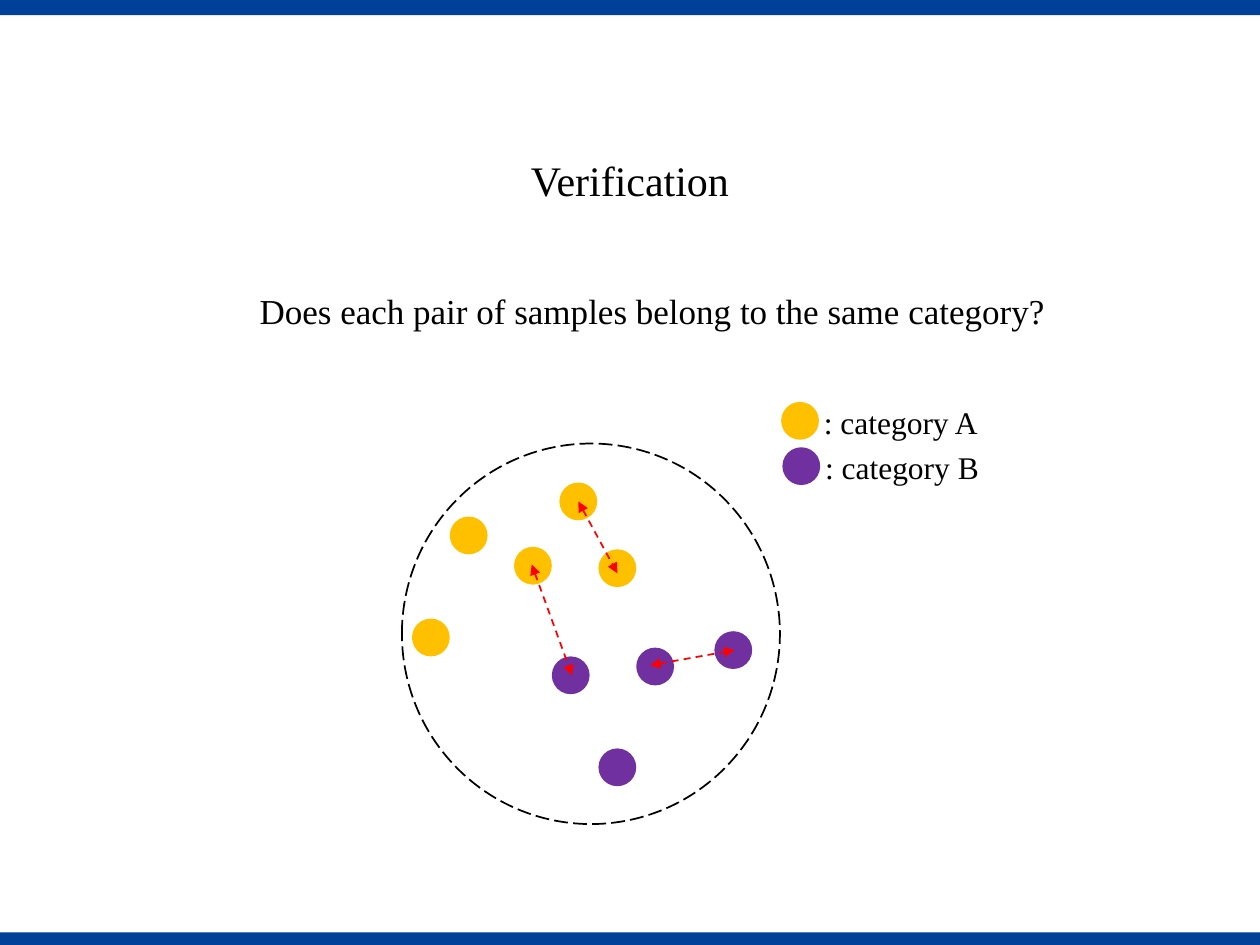
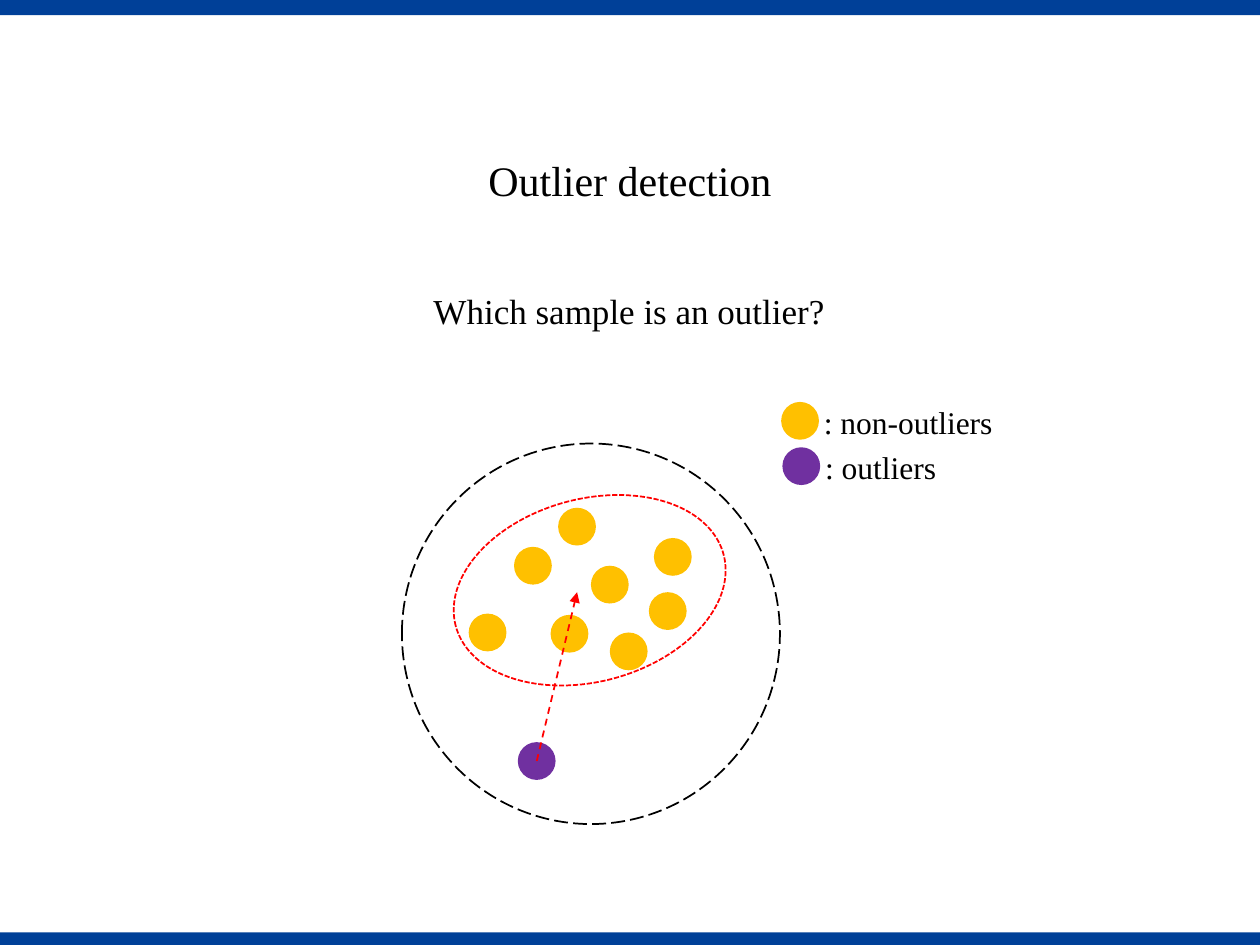
from dataclasses import dataclass

from lxml import etree
from pptx import Presentation
from pptx import util as u
from pptx.dml import color
from pptx.enum import dml, shapes, text
from pptx.oxml import ns

COLUMNS, ROWS = 100, 75
CELL = u.Inches(0.1)


@dataclass(frozen=True)
class Theme:
    band: str = "004098"
    ink: str = "000000"
    first: str = "FFC000"
    second: str = "7030A0"
    accent: str = "FF0000"
    font: str = "Times New Roman"
    title_size: int = 24
    question_size: int = 20
    legend_size: int = 18
    line_width: int = 1
    sample: float = 3


@dataclass(frozen=True)
class Box:
    left: float
    top: float
    width: float
    height: float

    def inner(self, left, top, width, height):
        return Box(self.left + left, self.top + top, width, height)

    def lengths(self):
        return [u.Emu(round(cells * CELL))
                for cells in (self.left, self.top, self.width, self.height)]


THEME = Theme()
SLIDE = Box(0, 0, COLUMNS, ROWS)
DIAGRAM = Box(31.9, 35.2, 30, 30.2)
LEGEND = Box(62, 31.5, 20, 7.6)
QUESTION_TOP, QUESTION_HEIGHT = 22.5, 4.4
TITLE_TOP, TITLE_HEIGHT = 11.8, 5
LEGEND_STEP = 3.6


def rgb(value):
    return color.RGBColor.from_string(value)


def apply_format(target, values):
    for name, value in values.items():
        setattr(target, name, value)


def place(shape, box):
    apply_format(shape, dict(zip(("left", "top", "width", "height"), box.lengths())))


def write_text(shape, words, size, alignment=text.PP_ALIGN.LEFT):
    frame = shape.text_frame
    frame.text = words
    apply_format(frame, {
        "word_wrap": False,
        "auto_size": text.MSO_AUTO_SIZE.SHAPE_TO_FIT_TEXT,
        "vertical_anchor": text.MSO_ANCHOR.TOP,
    })
    paragraph = frame.paragraphs[0]
    apply_format(paragraph, {"alignment": alignment, "space_before": u.Pt(0)})
    font = paragraph.runs[0].font
    apply_format(font, {"name": THEME.font, "size": u.Pt(size)})
    font.color.rgb = rgb(THEME.ink)
    return paragraph


def remove_bullet(paragraph):
    properties = paragraph._p.get_or_add_pPr()
    properties.set("marL", "0")
    properties.set("indent", "0")
    etree.SubElement(properties, ns.qn("a:buNone"))


def add_filled(parent, box, fill, preset=shapes.MSO_SHAPE.OVAL):
    shape = parent.add_shape(preset, *box.lengths())
    shape.shadow.inherit = False
    shape.fill.solid()
    shape.fill.fore_color.rgb = rgb(fill)
    shape.line.fill.background()
    return shape


def style_line(line, stroke, dash):
    line.color.rgb = rgb(stroke)
    apply_format(line, {"width": u.Pt(THEME.line_width), "dash_style": dash})


def add_outline(slide, box, stroke, dash, rotation=0):
    shape = slide.shapes.add_shape(shapes.MSO_SHAPE.OVAL, *box.lengths())
    shape.shadow.inherit = False
    shape.fill.background()
    shape.rotation = rotation
    style_line(shape.line, stroke, dash)


def add_arrow(slide, box, start, end, ends):
    points = [*box.inner(*start, 0, 0).lengths()[:2], *box.inner(*end, 0, 0).lengths()[:2]]
    connector = slide.shapes.add_connector(shapes.MSO_CONNECTOR.STRAIGHT, *points)
    style_line(connector.line, THEME.accent, dml.MSO_LINE.DASH)
    line_element = connector.line._get_or_add_ln()
    for tag in ends:
        etree.SubElement(line_element, ns.qn(tag), type="triangle")
    etree.SubElement(connector.element.spPr, ns.qn("a:effectLst"))


def add_bands(presentation, slide, box):
    bottom_height, top_height = 1, 1.2
    for band in (box.inner(0, box.height - bottom_height, box.width, bottom_height),
                 box.inner(0, 0, box.width, top_height)):
        shape = add_filled(slide.shapes, band, THEME.band, shapes.MSO_SHAPE.RECTANGLE)
        presentation.slide_master.shapes.element.append(shape.element)


def add_headings(slide, box, title, title_width, question, question_left, question_width):
    title_left = (box.width - title_width) / 2
    place(slide.shapes.title, box.inner(title_left, TITLE_TOP, title_width, TITLE_HEIGHT))
    write_text(slide.shapes.title, title, THEME.title_size, text.PP_ALIGN.CENTER)
    body = slide.placeholders[1]
    place(body, box.inner(question_left, QUESTION_TOP, question_width, QUESTION_HEIGHT))
    remove_bullet(write_text(body, question, THEME.question_size))


def add_legend(slide, box, entries):
    group = slide.shapes.add_group_shape()
    for row, ((label, width), fill) in enumerate(zip(entries, (THEME.first, THEME.second))):
        line = box.inner(0.1 * row, LEGEND_STEP * row, box.width, 4)
        label_box = group.shapes.add_textbox(*line.inner(2.4, 0, width, 4).lengths())
        write_text(label_box, label, THEME.legend_size)
        add_filled(group.shapes, line.inner(0, 0.4, THEME.sample, THEME.sample), fill)


def add_samples(slide, box, first, second):
    for fill, corners in ((THEME.first, first), (THEME.second, second)):
        for corner in corners:
            add_filled(slide.shapes, box.inner(*corner, THEME.sample, THEME.sample), fill)
    add_outline(slide, box, THEME.ink, dml.MSO_LINE.LONG_DASH)


def add_verification_diagram(slide, box):
    add_samples(
        slide, box,
        [(15.6, 8.4), (12.5, 3.1), (3.8, 5.8), (0.8, 13.9), (8.9, 8.2)],
        [(11.9, 16.9), (18.6, 16.2), (15.6, 24.2), (24.8, 14.9)],
    )
    pairs = [((10.3, 9.6), (13.5, 18.4)), ((14, 4.6), (17.1, 10.3)),
             ((19.7, 17.6), (26.4, 16.4))]
    for start, end in pairs:
        add_arrow(slide, box, start, end, ("a:headEnd", "a:tailEnd"))


def add_outlier_diagram(slide, box):
    add_samples(
        slide, box,
        [(15, 9.7), (12.4, 5.1), (19.6, 11.8), (5.3, 13.5),
         (8.9, 8.2), (16.5, 15), (20, 7.5), (11.8, 13.6)],
        [(9.2, 23.7)],
    )
    add_arrow(slide, box, (10.7, 25.2), (13.9, 11.8), ("a:tailEnd",))
    add_outline(slide, box.inner(3.9, 4.4, 22, 14.5), THEME.accent,
                dml.MSO_LINE.SQUARE_DOT, rotation=345)


def add_task_slide(presentation, headings, legend, add_diagram):
    slide = presentation.slides.add_slide(presentation.slide_layouts[1])
    add_headings(slide, SLIDE, *headings)
    add_diagram(slide, DIAGRAM)
    add_legend(slide, LEGEND, legend)
    return slide


def main():
    presentation = Presentation()
    presentation.slide_width = COLUMNS * CELL
    presentation.slide_height = ROWS * CELL
    verification = add_task_slide(
        presentation,
        ("Verification", 17.9,
         "Does each pair of samples belong to the same category?", 19.6, 64.8),
        [(": category A", 14.4), (": category B", 14.4)],
        add_verification_diagram,
    )
    add_bands(presentation, verification, SLIDE)
    add_task_slide(
        presentation,
        ("Outlier detection", 24.7, "Which sample is an outlier?", 33.4, 33.3),
        [(": non-outliers", 15.6), (": outliers", 10.9)],
        add_outlier_diagram,
    )
    presentation.save("out.pptx")


if __name__ == "__main__":
    main()
